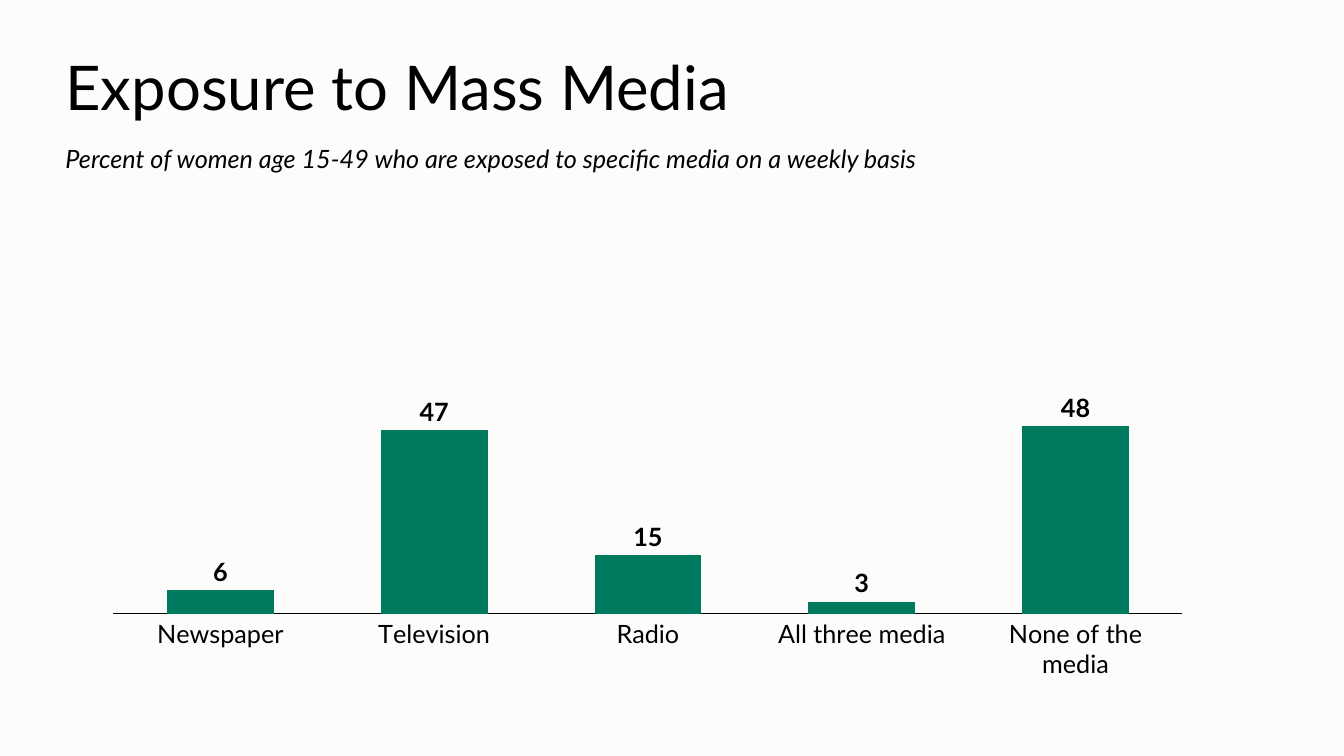
from dataclasses import dataclass

from lxml import etree
from pptx import Presentation
from pptx import util as u
from pptx.chart.data import CategoryChartData
from pptx.dml.color import RGBColor
from pptx.enum import chart as ch
from pptx.enum import text
from pptx.oxml import ns


@dataclass(frozen=True)
class Theme:
    font: str = "Lato"
    paper: RGBColor = RGBColor(0xFC, 0xFC, 0xFA)
    ink: RGBColor = RGBColor(0, 0, 0)
    bar: RGBColor = RGBColor(0x00, 0x7A, 0x5E)
    title_size: int = 44
    body_size: int = 18


theme = Theme()


def style_font(font, size, bold=False, italic=False):
    font.name = theme.font
    font.size = u.Pt(size)
    font.bold = bold
    font.italic = italic
    font.color.rgb = theme.ink


deck = Presentation()
deck.slide_width, deck.slide_height = u.Cm(33.87), u.Cm(19.05)
page = deck.slides.add_slide(deck.slide_layouts[6])
page.background.fill.solid()
page.background.fill.fore_color.rgb = theme.paper

# Title and subtitle
headings = [
    ("Exposure to Mass Media", 0.99, 21.89, 2.59, theme.title_size, False,
     text.MSO_ANCHOR.MIDDLE),
    ("Percent of women age 15-49 who are exposed to specific media on a weekly basis",
     3.58, 27, 1.14, theme.body_size, True, text.MSO_ANCHOR.TOP),
]
for wording, top, width, height, size, italic, anchor in headings:
    box = page.shapes.add_textbox(u.Cm(1.4), u.Cm(top), u.Cm(width), u.Cm(height))
    frame = box.text_frame
    frame.word_wrap = True
    frame.vertical_anchor = anchor
    frame.text = wording
    para = frame.paragraphs[0]
    para.line_spacing = 0.9
    style_font(para.runs[0].font, size, italic=italic)

# Media exposure chart
exposure = {
    "Newspaper": 6,
    "Television": 47,
    "Radio": 15,
    "All three media": 3,
    "None of the media": 48,
}
data = CategoryChartData()
data.categories = list(exposure)
data.add_series("Series 1", list(exposure.values()))
chart = page.shapes.add_chart(
    ch.XL_CHART_TYPE.COLUMN_CLUSTERED,
    u.Cm(2.21), u.Cm(4.45), u.Cm(28.24), u.Cm(13.59), data,
).chart
chart.has_title = False
chart.has_legend = False
style_font(chart.font, theme.body_size)

media_axis = chart.category_axis
media_axis.major_tick_mark = ch.XL_TICK_MARK.NONE
media_axis.format.line.color.rgb = theme.ink
media_axis.format.line.width = u.Pt(0.75)
style_font(media_axis.tick_labels.font, theme.body_size)

percent_axis = chart.value_axis
percent_axis.minimum_scale, percent_axis.maximum_scale = 0, 100
percent_axis.has_major_gridlines = False
percent_axis.visible = False

plot = chart.plots[0]
plot.vary_by_categories = False
plot.gap_width = 100
plot.overlap = -5
bars = plot.series[0]
bars.format.fill.solid()
bars.format.fill.fore_color.rgb = theme.bar
labels = bars.data_labels
labels.show_value = True
labels.position = ch.XL_LABEL_POSITION.OUTSIDE_END
style_font(labels.font, theme.body_size, bold=True)

# Fixed inner plot area, as fractions of the chart
plot_area = chart.element.find(".//" + ns.qn("c:plotArea"))
for old_layout in plot_area.findall(ns.qn("c:layout")):
    plot_area.remove(old_layout)
layout = etree.Element(ns.qn("c:layout"))
manual = etree.SubElement(layout, ns.qn("c:manualLayout"))
placement = {"layoutTarget": "inner", "xMode": "edge", "yMode": "edge",
             "x": 0.023, "y": 0.087, "w": 0.954, "h": 0.724}
for name, value in placement.items():
    etree.SubElement(manual, ns.qn(f"c:{name}")).set("val", str(value))
plot_area.insert(0, layout)

deck.save("out.pptx")
